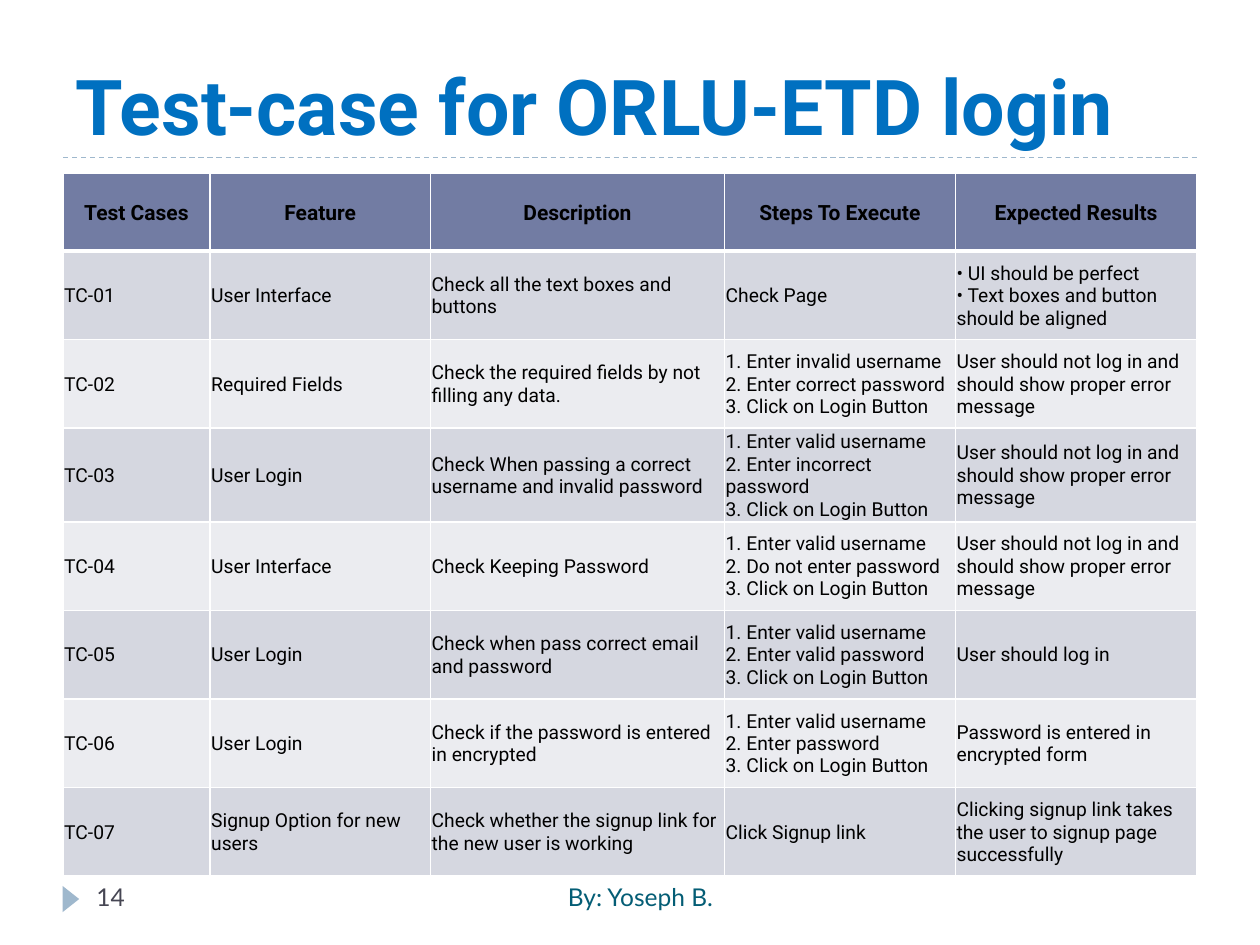
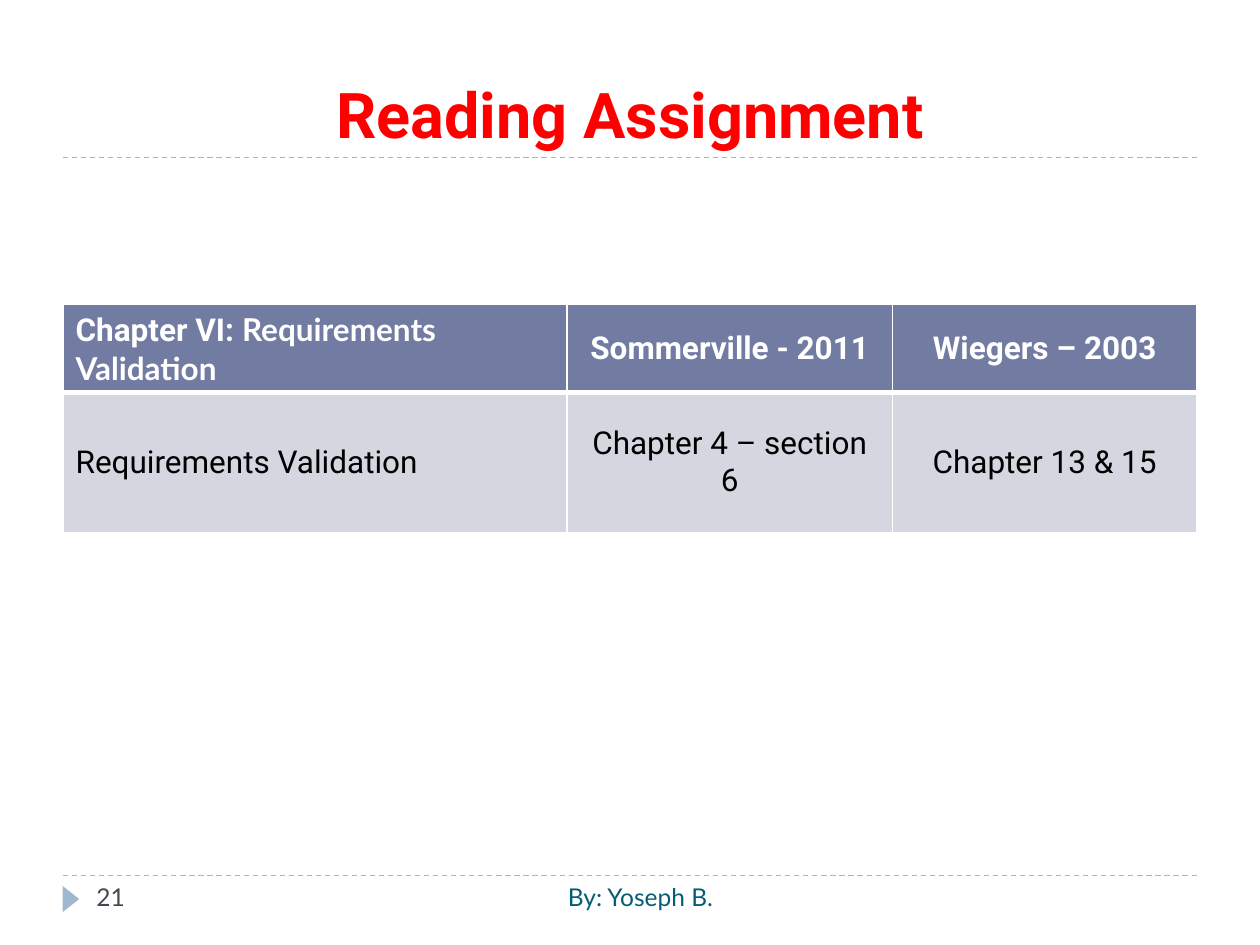
"""Builds two course slides: a login test-case table and a reading assignment."""
from lxml import etree
from pptx import Presentation
from pptx.dml.color import RGBColor
from pptx.enum.dml import MSO_LINE
from pptx.enum.shapes import MSO_CONNECTOR, MSO_SHAPE
from pptx.enum.text import MSO_ANCHOR, MSO_AUTO_SIZE, PP_ALIGN
from pptx.oxml.ns import qn
from pptx.util import Pt

LEFT, CENTER = PP_ALIGN.LEFT, PP_ALIGN.CENTER
MIDDLE, BOTTOM = MSO_ANCHOR.MIDDLE, MSO_ANCHOR.BOTTOM
NO_AUTOFIT = MSO_AUTO_SIZE.NONE
DASH = MSO_LINE.DASH
STRAIGHT = MSO_CONNECTOR.STRAIGHT
TRIANGLE = MSO_SHAPE.ISOSCELES_TRIANGLE
TITLE_ONLY = 5


def color(hex_code):
    """Turn a hex string into a colour."""
    return RGBColor.from_string(hex_code)


class Deck:
    """Holds the shared style and the slide being built."""

    HEADING_FONT, FOOTER_FONT = "Roboto", "Lato"
    BLACK, WHITE, ACCENT = "000000", "FFFFFF", "9FB8CD"
    HEADER_FILL, BAND_FILLS = "727CA3", ("D5D7E0", "EBECF0")
    MARGIN, WIDTH = 36, 648
    TITLE_RULE, FOOTER_RULE = 90, 500.4

    def __init__(self):
        """Open an empty 10 by 7.5 inch presentation."""
        self.presentation = Presentation()
        self.presentation.slide_width = Pt(720)
        self.presentation.slide_height = Pt(540)
        self.slide = None

    def add_slide(self, title, size, title_color, align, number):
        """Start a slide with its title, rules and footer."""
        layout = self.presentation.slide_layouts[TITLE_ONLY]
        self.slide = self.presentation.slides.add_slide(layout)
        self.title(title, size, title_color, align)
        for y in (self.FOOTER_RULE, self.TITLE_RULE):
            self.rule(y)
        self.marker()
        self.footer("By: Yoseph B.", 228, 276, "045D75", CENTER)
        self.footer(number, 48, 156, "464653", LEFT)

    def add_text(self, paragraph, text, size, hex_code, bold=False, font=HEADING_FONT):
        """Add text to a paragraph, one run for each line."""
        for index, line in enumerate(text.split("\n")):
            if index:
                paragraph.add_line_break()
            run = paragraph.add_run()
            run.text = line
            run.font.name, run.font.size, run.font.bold = font, Pt(size), bold
            run.font.color.rgb = color(hex_code)

    def title(self, text, size, hex_code, align):
        """Fill the title placeholder, resting on the upper rule."""
        heading = self.slide.shapes.title
        heading.left, heading.top = Pt(self.MARGIN), Pt(12)
        heading.width, heading.height = Pt(self.WIDTH), Pt(self.TITLE_RULE - 12)
        frame = heading.text_frame
        frame.auto_size, frame.vertical_anchor = NO_AUTOFIT, BOTTOM
        frame.paragraphs[0].alignment = align
        self.add_text(frame.paragraphs[0], text, size, hex_code, bold=True)

    def rule(self, y):
        """Draw a dashed line across the content width."""
        line = self.slide.shapes.add_connector(
            STRAIGHT, Pt(self.MARGIN), Pt(y), Pt(self.MARGIN + self.WIDTH), Pt(y))
        line.line.color.rgb = color(self.ACCENT)
        line.line.width, line.line.dash_style = Pt(0.75), DASH
        etree.SubElement(line._element.spPr, qn("a:effectLst"))

    def marker(self):
        """Draw the triangle that points at the page number."""
        arrow = self.slide.shapes.add_shape(TRIANGLE, Pt(33), Pt(509), Pt(15), Pt(9.5))
        arrow.rotation = 90
        arrow.shadow.inherit = False
        arrow.fill.solid()
        arrow.fill.fore_color.rgb = color(self.ACCENT)
        arrow.line.fill.background()

    def footer(self, text, left, width, hex_code, align):
        """Add a footer text below the lower rule."""
        box = self.slide.shapes.add_textbox(
            Pt(left), Pt(self.FOOTER_RULE), Pt(width), Pt(28.8))
        box.text_frame.word_wrap = True
        paragraph = box.text_frame.paragraphs[0]
        paragraph.alignment = align
        self.add_text(paragraph, text, 14, hex_code, font=self.FOOTER_FONT)

    def borders(self, cell, top, bottom):
        """Give a cell white borders; top and bottom are widths in points."""
        properties = cell._tc.get_or_add_tcPr()
        widths = {"a:lnL": 1, "a:lnR": 1, "a:lnT": top, "a:lnB": bottom}
        for index, (side, width) in enumerate(widths.items()):
            line = etree.Element(qn(side), w=str(Pt(width)))
            fill = etree.SubElement(line, qn("a:solidFill"))
            etree.SubElement(fill, qn("a:srgbClr"), val=self.WHITE)
            properties.insert(index, line)

    def table(self, top, columns, heights, rows, sizes, header_color,
              aligns, header_aligns, inset=None):
        """Add a banded table; a cell is a text or a list of (text, font)."""
        table = self.slide.shapes.add_table(
            len(rows), len(columns), Pt(self.MARGIN), Pt(top),
            Pt(self.WIDTH), Pt(sum(heights))).table
        for column, width in zip(table.columns, columns):
            column.width = Pt(width)
        for r, (values, height) in enumerate(zip(rows, heights)):
            header = r == 0
            table.rows[r].height = Pt(height)
            row_aligns = header_aligns if header else aligns
            for c, (value, align) in enumerate(zip(values, row_aligns)):
                cell = table.cell(r, c)
                cell.vertical_anchor = MIDDLE
                if inset is not None:
                    cell.margin_left = cell.margin_right = cell.margin_top = Pt(inset)
                    cell.margin_bottom = 0
                cell.fill.solid()
                cell.fill.fore_color.rgb = color(
                    self.HEADER_FILL if header else self.BAND_FILLS[(r - 1) % 2])
                self.borders(cell, 3 if r == 1 else 1, 3 if header else 1)
                paragraph = cell.text_frame.paragraphs[0]
                paragraph.alignment = align
                parts = [(value, self.HEADING_FONT)] if isinstance(value, str) else value
                for text, font in parts:
                    self.add_text(paragraph, text, sizes[0] if header else sizes[1],
                                  header_color if header else self.BLACK, header, font)


def steps(*actions):
    """Number the actions and end with the login click."""
    return "\n".join(f"{i}. {action}" for i, action in
                     enumerate((*actions, "Click on Login Button"), 1))


REJECTED = "User should not log in and should show proper error message"
TEST_CASES = [
    ("User Interface", "Check all the text boxes and buttons", "Check Page",
     "• UI should be perfect\n• Text boxes and button should be aligned"),
    ("Required Fields", "Check the required fields by not filling any data.",
     steps("Enter invalid username", "Enter correct password"), REJECTED),
    ("User Login", "Check When passing a correct username and invalid password",
     steps("Enter valid username", "Enter incorrect password"), REJECTED),
    ("User Interface", "Check Keeping Password",
     steps("Enter valid username", "Do not enter password"), REJECTED),
    ("User Login", "Check when pass correct email and password",
     steps("Enter valid username", "Enter valid password"), "User should log in"),
    ("User Login", "Check if the password is entered in encrypted",
     steps("Enter valid username", "Enter password"),
     "Password is entered in encrypted form"),
    ("Signup Option for new users",
     "Check whether the signup link for the new user is working", "Click Signup link",
     "Clicking signup link takes the user to signup page successfully"),
]
TEST_HEADER = ("Test Cases", "Feature", "Description", "Steps To Execute",
               "Expected Results")
READINGS = [
    ([("Chapter VI: ", Deck.HEADING_FONT),
      ("Requirements Validation", Deck.FOOTER_FONT)],
     "Sommerville - 2011", "Wiegers – 2003"),
    ("Requirements Validation", "Chapter 4 – section 6", "Chapter 13 & 15"),
]


def main():
    """Build both slides and save them."""
    deck = Deck()

    deck.add_slide("Test-case for ORLU-ETD login", 44, "0070C0", LEFT, "14")
    numbered = [(f"TC-{i:02}", *case) for i, case in enumerate(TEST_CASES, 1)]
    deck.table(99, (84, 126, 168, 132, 138), [44.5] + [50.6] * len(numbered),
               [TEST_HEADER] + numbered, (12, 11), Deck.BLACK,
               [LEFT] * 5, [CENTER] * 5, inset=0.7)

    deck.add_slide("Reading Assignment", 36, "FF0000", CENTER, "21")
    reading_aligns = (LEFT, CENTER, CENTER)
    deck.table(174, (288, 186, 174), (46, 80), READINGS, (18, 18), Deck.WHITE,
               reading_aligns, reading_aligns)

    deck.presentation.save("out.pptx")


main()
